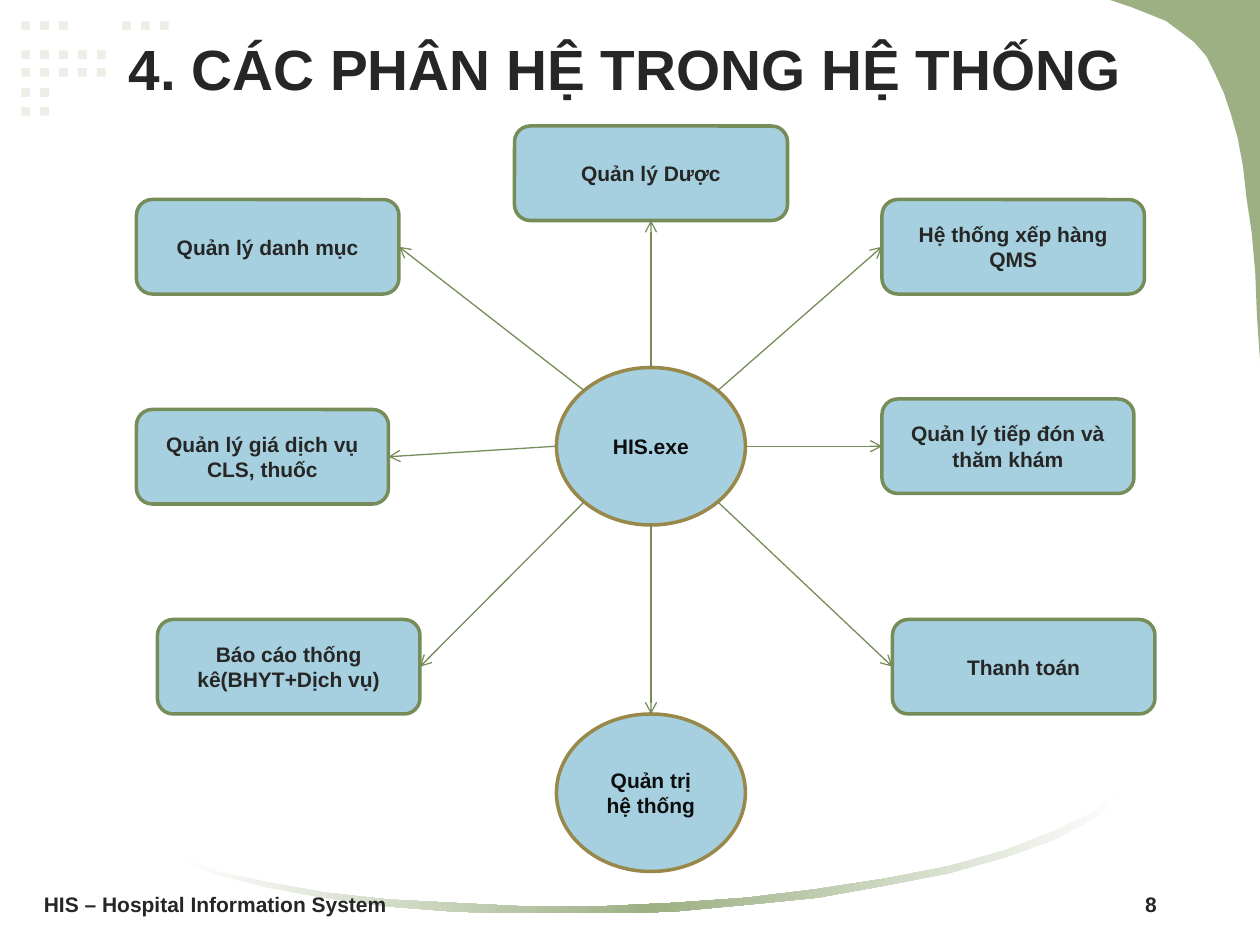
from copy import deepcopy
from dataclasses import dataclass
from math import cos, radians, sin

from lxml import etree
from pptx import Presentation
from pptx.dml.color import RGBColor
from pptx.enum.shapes import MSO_CONNECTOR, MSO_SHAPE
from pptx.enum.text import MSO_ANCHOR, PP_ALIGN
from pptx.oxml.ns import qn
from pptx.util import Pt

RECT, ROUND, OVAL = MSO_SHAPE.RECTANGLE, MSO_SHAPE.ROUNDED_RECTANGLE, MSO_SHAPE.OVAL
LEFT, MID, RIGHT = PP_ALIGN.LEFT, PP_ALIGN.CENTER, PP_ALIGN.RIGHT
TOP, WEST, BASE, EAST = range(4)


@dataclass(frozen=True)
class Theme:
    """Hold the colours, font and sizes of the slide."""
    font: str = "Arial"
    dot: str = "EBEFE6"
    green: str = "9CB084"
    white: str = "FFFFFF"
    blue: str = "A6D0DF"
    edge: str = "768D5A"
    gold: str = "98894B"
    dark: str = "262626"
    ink: str = "0D0D0D"
    head: float = 32.4
    body: float = 12
    rule: float = 2
    thin: float = 0.75


THEME = Theme()

DOTS = [(0, 0, 3), (57.6, 0, 3), (0, 16.6, 5), (0, 26.7, 5), (0, 38.2, 2), (0, 49, 2)]

CORNER = [
    (0, 0), (85.7, 0), (85.7, 209.5), (84.3, 181.4), (82.8, 156.2), (80.7, 133.2),
    (78.5, 113), (75.6, 95), (72.7, 79.2), (69.1, 64.8), (64.8, 52.6), (60.5, 41.8),
    (54.7, 32.4), (48.3, 24.5), (40.3, 18), (32.4, 12.2), (22.3, 7.9), (12.3, 3.6),
]

SWOOSH = [
    (0, 38.9, 41), (22.4, 47.5, 50), (50.4, 54, 57.2), (82.8, 59.8, 63),
    (118.8, 64.1, 67.7), (157.7, 66.2, 70.6), (198, 67.7, 72), (240.5, 67.7, 72),
    (282.3, 65.5, 70.6), (324.8, 62.6, 67.3), (365.1, 58.3, 63), (404, 51.8, 56.5),
    (440, 44.6, 49), (472.4, 36, 40.3), (500.4, 25.2, 29.5), (522.8, 13.7, 17.6),
    (540, 0, 5),
]

NODES = [
    ("Quản lý danh mục", 0, 42, 150, 225, EAST),
    ("Quản lý Dược", 216, 0, 156, 270, BASE),
    ("Hệ thống xếp hàng QMS", 426, 42, 150, 315, WEST),
    ("Quản lý tiếp đón và thăm khám", 426, 156, 144, 0, WEST),
    ("Thanh toán", 432, 282, 150, 45, WEST),
    ("Báo cáo thống kê(BHYT+Dịch vụ)", 12, 282, 150, 135, EAST),
    ("Quản lý giá dịch vụ CLS, thuốc", 0, 162, 144, 180, EAST),
]


def tint(hue):
    """Turn a hex string into a colour."""
    return RGBColor.from_string(hue)


def write(shape, text, size, hue, align):
    """Put one bold run into a shape, centred in height."""
    frame = shape.text_frame
    frame.word_wrap = True
    frame.vertical_anchor = MSO_ANCHOR.MIDDLE
    para = frame.paragraphs[0]
    para.alignment = align
    run = para.add_run()
    run.text = text
    font = run.font
    font.name, font.size, font.bold = THEME.font, Pt(size), True
    font.color.rgb = tint(hue)
    return para


def label(slide, box, text, size, align):
    """Add a text box and return its paragraph."""
    area = slide.shapes.add_textbox(*map(Pt, box))
    return write(area, text, size, THEME.dark, align)


def block(slide, kind, box, fill, edge=None):
    """Add a flat preset shape with an optional outline."""
    shape = slide.shapes.add_shape(kind, *map(Pt, box))
    shape.shadow.inherit = False
    shape.fill.solid()
    shape.fill.fore_color.rgb = tint(fill)
    if edge:
        shape.line.color.rgb = tint(edge)
        shape.line.width = Pt(THEME.rule)
    else:
        shape.line.fill.background()
    return shape


def trace(slide, box, points):
    """Add a closed outline whose points are relative to the box."""
    pen = slide.shapes.build_freeform(*points[0], scale=Pt(1))
    pen.add_line_segments(points[1:], close=True)
    shape = pen.convert_to_shape(*map(Pt, box[:2]))
    shape.shadow.inherit = False
    shape.line.fill.background()
    return shape


def grid(slide, box):
    """Draw the pale dots, each run at an equal pitch."""
    left, top, side, pitch = box
    for x, y, count in DOTS:
        for col in range(count):
            spot = (left + x + col * pitch, top + y, side, side)
            block(slide, RECT, spot, THEME.dot)


def corner(slide, box):
    """Draw the green curve at the top right."""
    shape = trace(slide, box, CORNER)
    shape.fill.solid()
    shape.fill.fore_color.rgb = tint(THEME.green)


def swoosh(slide, box):
    """Draw the arc that fades to white at both ends."""
    upper = [(x, top) for x, top, _ in SWOOSH]
    lower = [(x, low) for x, _, low in reversed(SWOOSH)]
    fill = trace(slide, box, upper + lower).fill
    fill.gradient()
    fill.gradient_angle = 0
    shape = slide.shapes[-1]
    stops = next(shape.element.iter(qn("a:gsLst")))
    stops.insert(1, deepcopy(stops[0]))
    hues = (THEME.white, THEME.green, THEME.white)
    for stop, hue, place in zip(fill.gradient_stops, hues, (0, 0.5, 1)):
        stop.color.rgb = tint(hue)
        stop.position = place


def spoke(slide, start, node, site):
    """Draw an arrow from a point to the side of a node."""
    x, y = map(Pt, start)
    line = slide.shapes.add_connector(MSO_CONNECTOR.STRAIGHT, x, y, x, y)
    line.end_connect(node, site)
    line.line.color.rgb = tint(THEME.edge)
    line.line.width = Pt(THEME.thin)
    tip = etree.SubElement(line.line._get_or_add_ln(), qn("a:tailEnd"))
    tip.set("type", "arrow")
    etree.SubElement(line.element.spPr, qn("a:effectLst"))


def wheel(slide, box):
    """Draw the hub, its modules and the arrows between them."""
    left, top, width, height = box
    wide, high, tall = 108, 90, 54
    x, y = left + 240, top + 138
    hub = block(slide, OVAL, (x, y, wide, high), THEME.blue, THEME.gold)
    write(hub, "HIS.exe", THEME.body, THEME.ink, MID)
    admin = block(slide, OVAL, (x, top + height - high, wide, high), THEME.blue, THEME.gold)
    write(admin, "Quản trị hệ thống", THEME.body, THEME.ink, MID)
    ends = [(admin, 90, TOP)]
    for text, dx, dy, span, angle, site in NODES:
        node = block(slide, ROUND, (left + dx, top + dy, span, tall), THEME.blue, THEME.edge)
        write(node, text, THEME.body, THEME.dark, MID)
        ends.append((node, angle, site))
    for node, angle, site in ends:
        turn = radians(angle)
        start = (x + wide / 2 * (1 + cos(turn)), y + high / 2 * (1 + sin(turn)))
        spoke(slide, start, node, site)


def title(slide, box):
    """Write the heading."""
    para = label(slide, box, "4. CÁC PHÂN HỆ TRONG HỆ THỐNG", THEME.head, MID)
    para.line_spacing = 1.3


def footer(slide, box):
    """Write the system name at the left and the page at the right."""
    left, top, width, height = box
    page = 60
    label(slide, (left, top, width - page, height),
          "HIS – Hospital Information System", THEME.body, LEFT)
    label(slide, (left + width - page, top, page, height), "8", THEME.body, RIGHT)


def main():
    """Build the slide and save it."""
    deck = Presentation()
    deck.slide_width, deck.slide_height = Pt(720), Pt(540)
    slide = deck.slides.add_slide(deck.slide_layouts[6])
    grid(slide, (12.2, 12.2, 5, 10.8))
    corner(slide, (634.3, 0, 85.7, 209.5))
    swoosh(slide, (102.2, 450, 540, 72))
    wheel(slide, (78, 72, 582, 426))
    title(slide, (42, 0, 630, 66))
    footer(slide, (18, 504, 650, 25.2))
    deck.save("out.pptx")


if __name__ == "__main__":
    main()
